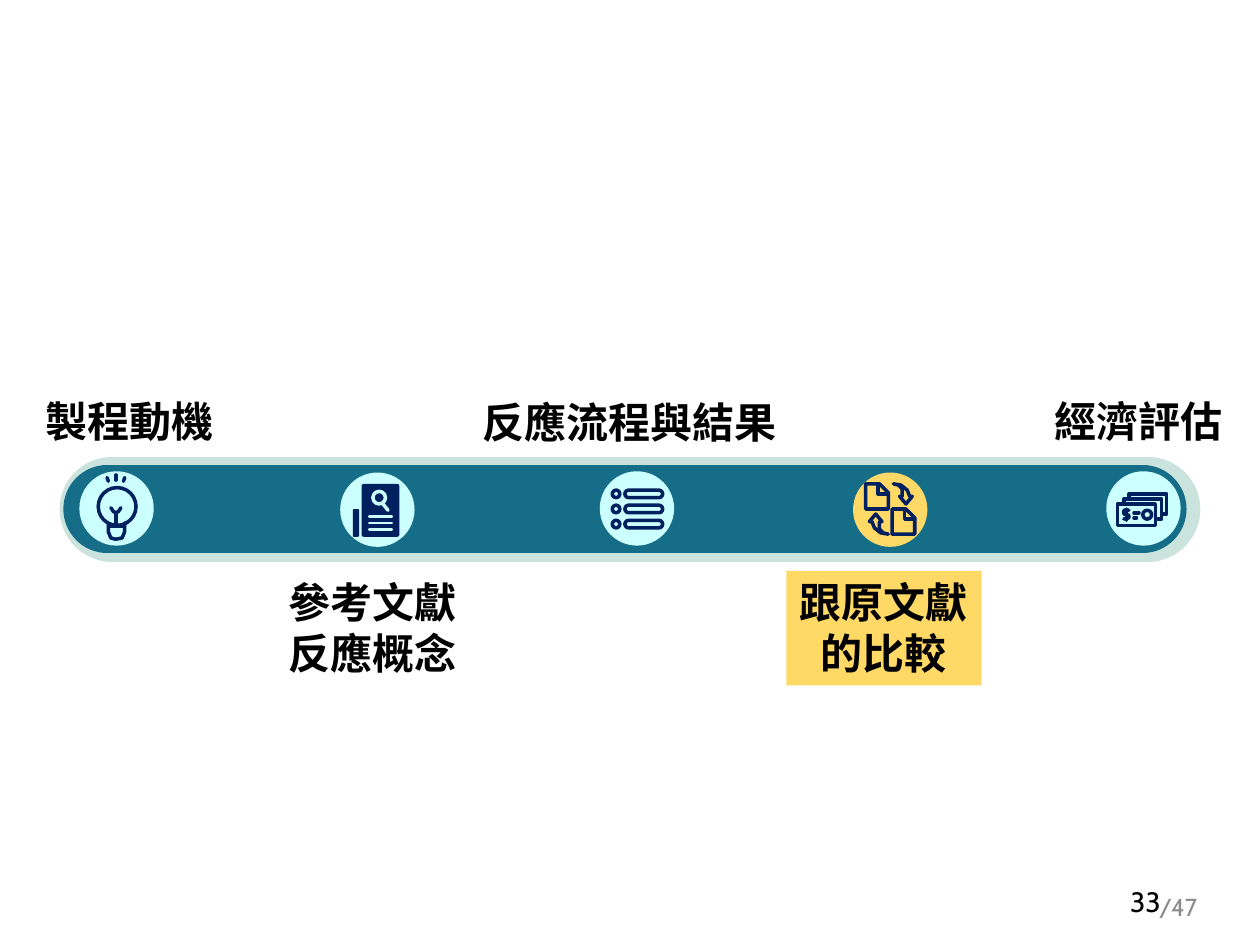
"""Build the five-stage progress slide with the comparison stage highlighted."""
from lxml.etree import SubElement
from pptx import Presentation
from pptx.dml.color import RGBColor
from pptx.enum.shapes import MSO_CONNECTOR, MSO_SHAPE as SHAPE
from pptx.enum.text import MSO_ANCHOR as ANCHOR, MSO_AUTO_SIZE as FIT, PP_ALIGN as ALIGN
from pptx.oxml.ns import qn
from pptx.util import Inches, Pt

rgb = RGBColor.from_string
NAVY, AQUA, GOLD, BLACK, GRAY = "002060", "CCFFFF", "FFD966", "000000", "8C8C8C"
FONT = "Cabin"

deck = Presentation()
deck.slide_width, deck.slide_height = Inches(10), Inches(7.5)
slide = deck.slides.add_slide(deck.slide_layouts[6])


def draw(kind, left, top, width, height, fill=None, outline=None):
    shape = slide.shapes.add_shape(kind, *map(Inches, (left, top, width, height)))
    shape.shadow.inherit = False
    if fill:
        shape.fill.solid()
        shape.fill.fore_color.rgb = rgb(fill)
    else:
        shape.fill.background()
    if outline:
        shape.line.color.rgb = rgb(outline)
        shape.line.width = Pt(2)
    else:
        shape.line.fill.background()
    return shape


def stroke(points, color=NAVY, weight=2, closed=False):
    corners = [(Inches(x), Inches(y)) for x, y in points]
    if len(corners) == 2:
        mark = slide.shapes.add_connector(MSO_CONNECTOR.STRAIGHT, *corners[0], *corners[1])
    else:
        builder = slide.shapes.build_freeform(*corners[0])
        builder.add_line_segments(corners[1:], close=closed)
        mark = builder.convert_to_shape()
        mark.fill.background()
    mark.line.color.rgb = rgb(color)
    mark.line.width = Pt(weight)
    properties = mark._element.spPr
    properties.find(qn("a:ln")).set("cap", "rnd")
    SubElement(properties, qn("a:effectLst"))


for number, left, top, width, size, color, align in [
    ("/47", 7.66, 7, 3.38, 14, GRAY, ALIGN.CENTER),
    ("33", 7.06, 6.95, 2.25, 16, BLACK, ALIGN.RIGHT),
]:
    page = slide.shapes.add_textbox(*map(Inches, (left, top, width, 0.4))).text_frame
    page.word_wrap = True
    page.vertical_anchor = ANCHOR.MIDDLE
    page.text = number
    page.paragraphs[0].alignment = align
    font = page.paragraphs[0].runs[0].font
    font.name, font.size, font.color.rgb = FONT, Pt(size), rgb(color)

stroke([(0.89, 4.04), (9.11, 4.04)], "CAE3DC", 60)
stroke([(0.85, 4.04), (9.07, 4.04)], "166D88", 50)

for left, top, color in [(0.63, 3.74, AQUA), (2.7, 3.75, AQUA), (4.76, 3.74, AQUA),
                         (6.77, 3.75, GOLD), (8.78, 3.74, AQUA)]:
    draw(SHAPE.OVAL, left, top, 0.59, 0.59, color)

draw(SHAPE.OVAL, 0.78, 3.87, 0.3, 0.3, outline=NAVY)
bulb = [
    [(0.86, 4.15), (0.86, 4.22), (0.88, 4.27), (0.92, 4.28), (0.97, 4.27), (0.99, 4.22), (0.99, 4.15)],
    [(0.86, 4.18), (0.99, 4.18)],
    [(0.92, 4.17), (0.92, 4.07)],
    [(0.88, 4.03), (0.9, 4.06), (0.92, 4.07), (0.94, 4.06), (0.96, 4.03)],
    [(0.92, 3.77), (0.92, 3.81)],
    [(0.85, 3.79), (0.86, 3.82)],
    [(0.99, 3.79), (0.98, 3.82)],
]

sheet = draw(SHAPE.ROUNDED_RECTANGLE, 2.87, 3.84, 0.3, 0.42, NAVY)
sheet.adjustments[0] = 0.06
draw(SHAPE.ROUNDED_RECTANGLE, 2.8, 4.04, 0.05, 0.22, NAVY)
draw(SHAPE.OVAL, 2.96, 3.9, 0.1, 0.1, outline=AQUA)
stroke([(3.04, 4), (3.08, 4.05)], AQUA)
for y in (4.1, 4.15, 4.2):
    stroke([(2.93, y), (3.11, y)], AQUA, 1.5)

for y in (3.92, 4.04, 4.16):
    draw(SHAPE.OVAL, 4.86, y - 0.03, 0.06, 0.06, outline=NAVY)
    item = draw(SHAPE.ROUNDED_RECTANGLE, 4.96, y - 0.03, 0.3, 0.06, outline=NAVY)
    item.adjustments[0] = 0.5

document = [(6.87, 3.84), (6.98, 3.84), (7.05, 3.91), (7.05, 4.04), (6.87, 4.04)]
fold = [(6.97, 3.84), (6.97, 3.92), (7.05, 3.92)]
for across, down in [(0, 0), (0.21, 0.2)]:
    for outline, closed in [(document, True), (fold, False)]:
        stroke([(x + across, y + down) for x, y in outline], closed=closed)

swap_arrow = [(7.09, 3.84), (7.15, 3.85), (7.2, 3.89), (7.22, 3.94), (7.24, 3.94),
              (7.19, 4), (7.14, 3.94), (7.16, 3.94), (7.16, 3.88), (7.13, 3.85)]
stroke(swap_arrow, closed=True)
stroke([(14.14 - x, 8.08 - y) for x, y in swap_arrow], closed=True)

draw(SHAPE.RECTANGLE, 8.87, 4, 0.3, 0.17, outline=NAVY)
draw(SHAPE.OVAL, 9.07, 4.05, 0.07, 0.07, outline=NAVY)
banknotes = [
    [(8.92, 3.99), (8.92, 3.96), (9.22, 3.96), (9.22, 4.12), (9.19, 4.12)],
    [(8.96, 3.95), (8.96, 3.92), (9.26, 3.92), (9.26, 4.08), (9.23, 4.08)],
    [(9, 4.07), (9.04, 4.07)],
    [(9, 4.11), (9.02, 4.11)],
    [(8.96, 4.05), (8.92, 4.05), (8.92, 4.08), (8.96, 4.09), (8.96, 4.11), (8.92, 4.12)],
    [(8.94, 4.04), (8.94, 4.13)],
]
for points in bulb + banknotes:
    stroke(points)

for stage, left, top, width, height, align, fill in [
    ("製程動機", 0.15, 3.09, 1.75, 0.5, ALIGN.CENTER, None),
    ("反應流程與結果", 3.72, 3.1, 2.56, 0.5, ALIGN.CENTER, None),
    ("跟原文獻\n的比較", 6.24, 4.53, 1.55, 0.91, ALIGN.CENTER, GOLD),
    ("經濟評估", 8.27, 3.09, 1.55, 0.5, ALIGN.LEFT, None),
    ("參考文獻\n反應概念", 2.18, 4.53, 1.55, 0.91, ALIGN.CENTER, None),
]:
    label = draw(SHAPE.RECTANGLE, left, top, width, height, fill).text_frame
    label.word_wrap = False
    label.auto_size = FIT.SHAPE_TO_FIT_TEXT
    label.vertical_anchor = ANCHOR.TOP
    label.text = stage
    for paragraph in label.paragraphs:
        paragraph.alignment = align
        font = paragraph.runs[0].font
        font.name, font.size, font.bold = FONT, Pt(24), True
        font.color.rgb = rgb(BLACK)

deck.save("out.pptx")
